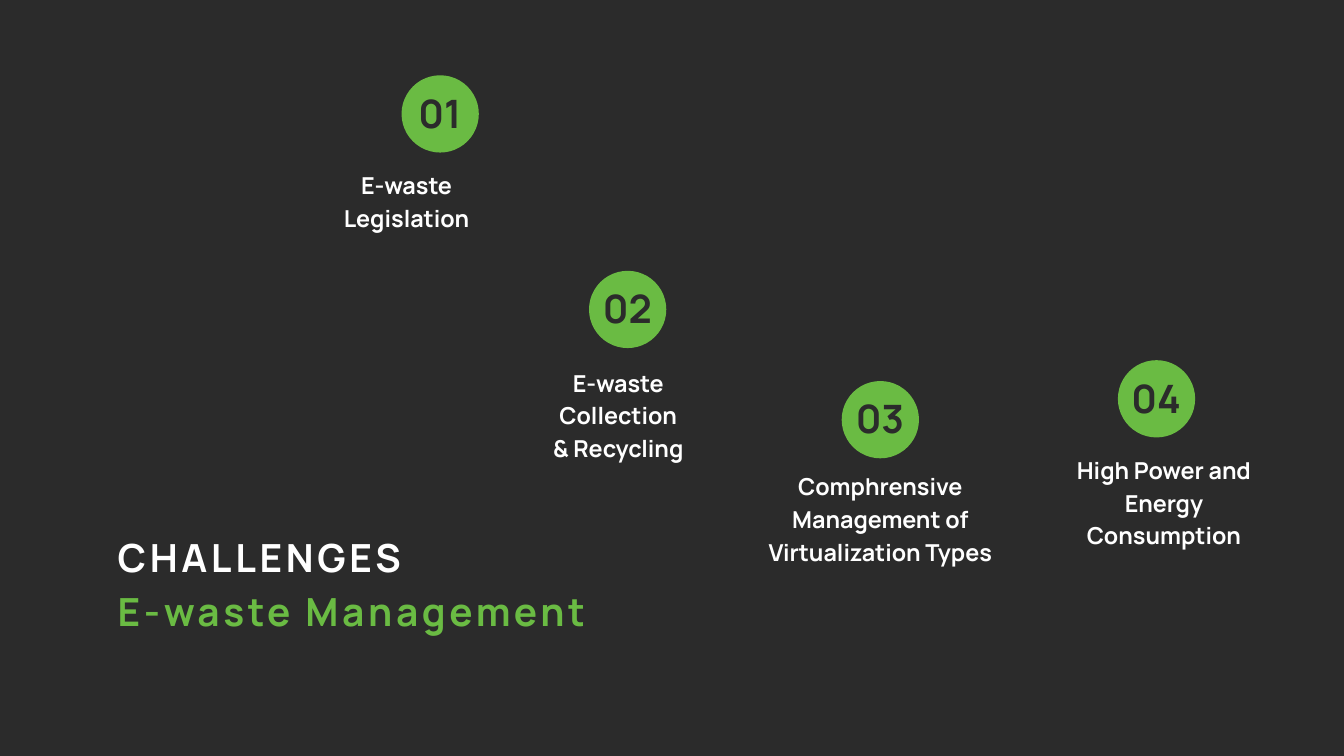
from pptx import Presentation
from pptx import util as u
from pptx.dml.color import RGBColor
from pptx.enum import shapes, text

CHARCOAL = RGBColor(0x2B, 0x2B, 0x2B)
GREEN = RGBColor(0x6A, 0xBB, 0x43)
WHITE = RGBColor(0xFF, 0xFF, 0xFF)
COLUMNS, ROWS = 20, 11.25
BADGE = 1.15

CHALLENGES = [
    ("01", 6.55, 1.12, ["E-waste", "Legislation"], 6.05, 2.48, 3.7),
    ("02", 9.34, 4.03, ["E-waste", "Collection", "& Recycling"], 9.2, 5.42, 3.7),
    ("03", 13.1, 5.67, ["Comphrensive Management of Virtualization Types"], 13.1, 6.96, 3.7),
    ("04", 17.21, 5.36, ["High Power and Energy Consumption"], 17.32, 6.72, 2.97),
]


class Deck:
    """Holds the style and the current slide, placing elements on a 20 by 11.25 grid."""

    font = "Manrope"

    def __init__(self):
        self.prs = Presentation()
        self.prs.slide_width, self.prs.slide_height = u.Inches(20), u.Inches(11.25)
        self.slide = self.prs.slides.add_slide(self.prs.slide_layouts[5])
        self.slide.background.fill.solid()
        self.slide.background.fill.fore_color.rgb = CHARCOAL

    def area(self, left, top, width, height):
        column = self.prs.slide_width / COLUMNS
        row = self.prs.slide_height / ROWS
        return int(left * column), int(top * row), int(width * column), int(height * row)

    def set_lines(self, box, lines, size, leading, color, align, tracking=None):
        frame = box.text_frame
        frame.margin_left = frame.margin_right = frame.margin_top = frame.margin_bottom = 0
        frame.word_wrap = True
        frame.auto_size = text.MSO_AUTO_SIZE.NONE
        frame.vertical_anchor = text.MSO_ANCHOR.TOP
        for index, line in enumerate(lines):
            paragraph = frame.add_paragraph() if index else frame.paragraphs[0]
            paragraph.alignment = align
            paragraph.line_spacing = u.Pt(leading)
            run = paragraph.add_run()
            run.text = line
            run.font.name, run.font.size, run.font.bold = self.font, u.Pt(size), True
            run.font.color.rgb = color
            if tracking:
                run.font._element.set("spc", str(int(tracking * 100)))

    def heading(self, box, line, color):
        self.set_lines(box, [line], 41.5, 52.1, color, text.PP_ALIGN.LEFT, tracking=3.9)

    def title(self, line, *place):
        box = self.slide.shapes.title
        box.left, box.top, box.width, box.height = self.area(*place)
        self.heading(box, line, WHITE)

    def subtitle(self, line, *place):
        self.heading(self.slide.shapes.add_textbox(*self.area(*place)), line, GREEN)

    def badge(self, number, center, top):
        circle = self.slide.shapes.add_shape(
            shapes.MSO_SHAPE.OVAL, *self.area(center - BADGE / 2, top, BADGE, BADGE))
        circle.shadow.inherit = False
        circle.fill.solid()
        circle.fill.fore_color.rgb = GREEN
        circle.line.fill.background()
        label = self.slide.shapes.add_textbox(*self.area(center - 0.68, top + 0.09, 1.35, 0.83))
        self.set_lines(label, [number], 41.9, 58.6, CHARCOAL, text.PP_ALIGN.CENTER)

    def caption(self, lines, center, top, width):
        height = 0.96 if len(lines) == 2 else 1.44
        box = self.slide.shapes.add_textbox(*self.area(center - width / 2, top, width, height))
        self.set_lines(box, lines, 25, 35, WHITE, text.PP_ALIGN.CENTER)


def main():
    deck = Deck()
    for number, badge_center, badge_top, lines, center, top, width in CHALLENGES:
        deck.badge(number, badge_center, badge_top)
        deck.caption(lines, center, top, width)
    deck.title("CHALLENGES", 1.75, 7.91, 5.89, 0.76)
    deck.subtitle("E-waste Management", 1.75, 8.71, 8.61, 0.76)
    deck.prs.save("out.pptx")


if __name__ == "__main__":
    main()
